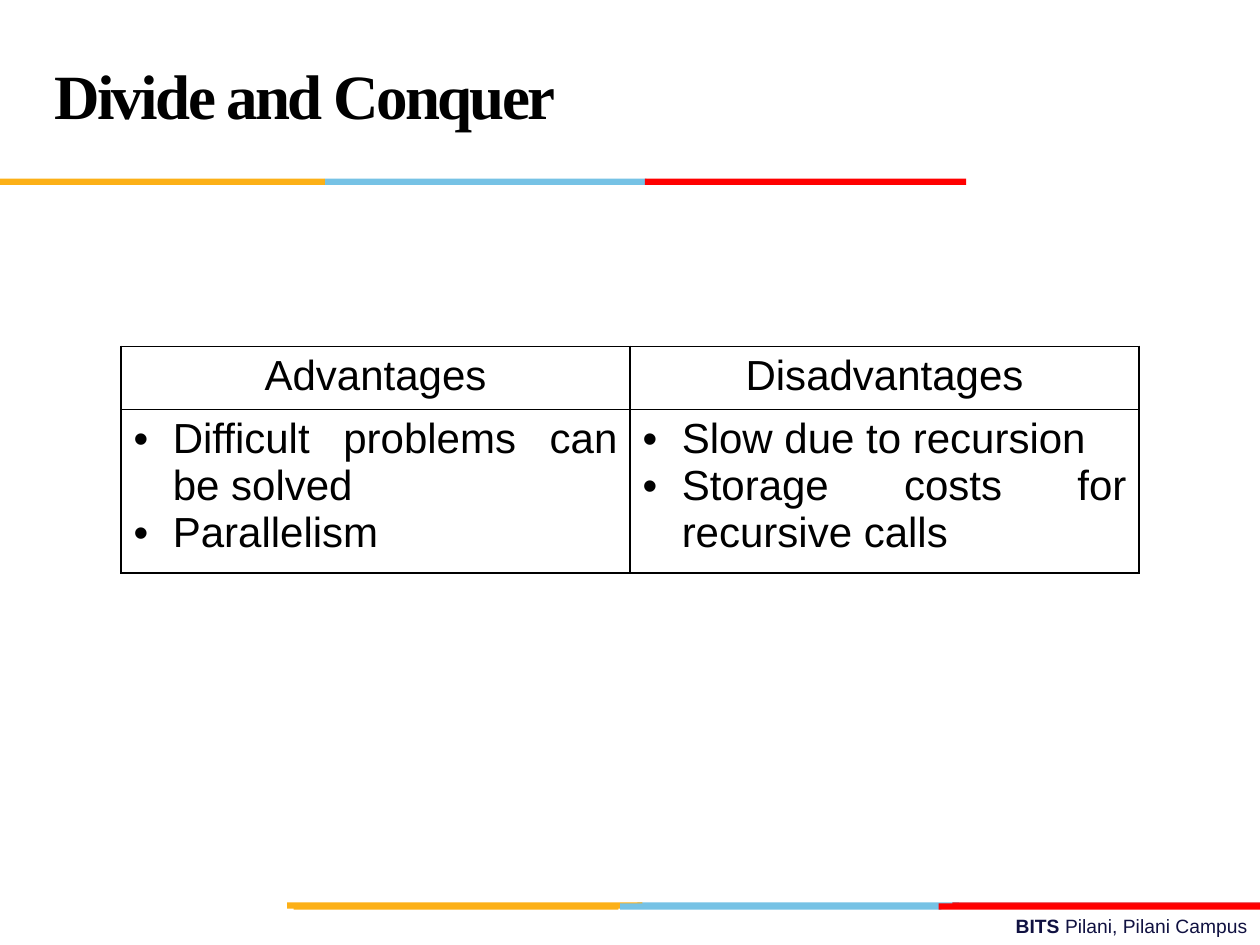
from dataclasses import dataclass

from lxml.etree import SubElement
from pptx import Presentation
from pptx.dml.color import RGBColor
from pptx.enum.shapes import MSO_SHAPE
from pptx.enum.text import MSO_ANCHOR, MSO_AUTO_SIZE, PP_ALIGN
from pptx.oxml.ns import qn
from pptx.util import Cm, Pt


@dataclass(frozen=True)
class Theme:
    black: str = "000000"
    white: str = "FFFFFF"
    navy: str = "101141"
    gold: str = "FCB017"
    blue: str = "76C2E5"
    red: str = "FF0000"
    dark_red: str = "E31C24"
    sans: str = "Arial"
    serif: str = "Times New Roman"
    title: int = 36
    table: int = 24
    footer: int = 11


@dataclass(frozen=True)
class Bar:
    left: float
    top: float
    width: float
    color: str


@dataclass(frozen=True)
class Column:
    heading: str
    points: tuple[str, ...]


T = Theme()
BAR_HEIGHT = 0.13

BARS = [
    # Footer stripe, back layer
    Bar(12.85, 18.19, 6.48, T.blue),
    Bar(19.2, 18.19, 6.2, T.dark_red),
    Bar(5.79, 18.19, 7.16, T.gold),
    # Footer stripe, front layer
    Bar(12.5, 18.21, 6.48, T.blue),
    Bar(5.92, 18.21, 6.55, T.gold),
    Bar(18.92, 18.21, 6.48, T.red),
    # Stripe below the title
    Bar(6.55, 3.6, 6.48, T.blue),
    Bar(0, 3.6, 6.55, T.gold),
    Bar(13, 3.6, 6.48, T.red),
]

COLUMNS = [
    Column("Advantages", ("Difficult problems can be solved", "Parallelism")),
    Column("Disadvantages", ("Slow due to recursion", "Storage costs for recursive calls")),
]


def format_font(font, color: str, **values) -> None:
    for name, value in values.items():
        setattr(font, name, value)
    font.color.rgb = RGBColor.from_string(color)


def add_bar(slide, bar: Bar) -> None:
    s = slide.shapes.add_shape(MSO_SHAPE.RECTANGLE, Cm(bar.left), Cm(bar.top),
                               Cm(bar.width), Cm(BAR_HEIGHT))
    s.shadow.inherit = False
    s.fill.solid()
    s.fill.fore_color.rgb = RGBColor.from_string(bar.color)
    s.line.fill.background()


def add_footer(slide) -> None:
    s = slide.shapes.add_textbox(Cm(9.1), Cm(18.31), Cm(16.3), Cm(0.74))
    tf = s.text_frame
    tf.word_wrap = True
    p = tf.paragraphs[0]
    p.alignment = PP_ALIGN.RIGHT
    for text, bold in (("BITS ", True), ("Pilani, Pilani Campus", False)):
        r = p.add_run()
        r.text = text
        format_font(r.font, T.navy, name=T.sans, size=Pt(T.footer), bold=bold)


def format_title(slide, text: str) -> None:
    s = slide.shapes.title
    box = {"left": Cm(0.84), "top": Cm(0.43), "width": Cm(17.58), "height": Cm(3.18)}
    for name, value in box.items():
        setattr(s, name, value)
    tf = s.text_frame
    tf.auto_size = MSO_AUTO_SIZE.NONE
    tf.vertical_anchor = MSO_ANCHOR.MIDDLE
    p = tf.paragraphs[0]
    p.alignment = PP_ALIGN.JUSTIFY
    p.line_spacing = Pt(36)
    r = p.add_run()
    r.text = text
    format_font(r.font, T.black, name=T.serif, size=Pt(T.title), bold=True)
    r.font._element.set("spc", "-150")


def add_bullet(p) -> None:
    pPr = p._p.get_or_add_pPr()
    pPr.set("marL", str(Cm(0.79)))
    pPr.set("indent", str(-Cm(0.79)))
    SubElement(pPr, qn("a:buFont"), typeface=T.sans)
    SubElement(pPr, qn("a:buChar"), char="•")


def format_cell(cell) -> None:
    tcPr = cell._tc.get_or_add_tcPr()
    for side in ("lnL", "lnR", "lnT", "lnB"):
        ln = SubElement(tcPr, qn(f"a:{side}"), w=str(Pt(1)))
        SubElement(SubElement(ln, qn("a:solidFill")), qn("a:srgbClr"), val=T.black)
    cell.fill.solid()
    cell.fill.fore_color.rgb = RGBColor.from_string(T.white)


def fill_cell(cell, lines: tuple[str, ...], align: PP_ALIGN, bulleted: bool) -> None:
    format_cell(cell)
    tf = cell.text_frame
    for i, line in enumerate(lines):
        p = tf.add_paragraph() if i else tf.paragraphs[0]
        p.alignment = align
        if bulleted:
            add_bullet(p)
        r = p.add_run()
        r.text = line
        format_font(r.font, T.black, name=T.sans, size=Pt(T.table), bold=False)


def add_comparison(slide, columns: list[Column]) -> None:
    heights = (1.21, 3.08)
    width = 10.26
    s = slide.shapes.add_table(len(heights), len(columns), Cm(2.44), Cm(6.98),
                               Cm(width * len(columns)), Cm(sum(heights)))
    table = s.table
    table.first_row = table.horz_banding = False
    for row, height in zip(table.rows, heights):
        row.height = Cm(height)
    for i, column in enumerate(columns):
        table.columns[i].width = Cm(width)
        fill_cell(table.cell(0, i), (column.heading,), PP_ALIGN.CENTER, False)
        fill_cell(table.cell(1, i), column.points, PP_ALIGN.JUSTIFY, True)


def main() -> None:
    prs = Presentation()
    prs.slide_width, prs.slide_height = Cm(25.4), Cm(19.05)
    slide = prs.slides.add_slide(prs.slide_layouts[5])

    # Footer text and coloured stripes
    add_footer(slide)
    for bar in BARS:
        add_bar(slide, bar)

    # Title and comparison table
    format_title(slide, "Divide and Conquer")
    add_comparison(slide, COLUMNS)

    prs.save("out.pptx")


if __name__ == "__main__":
    main()
